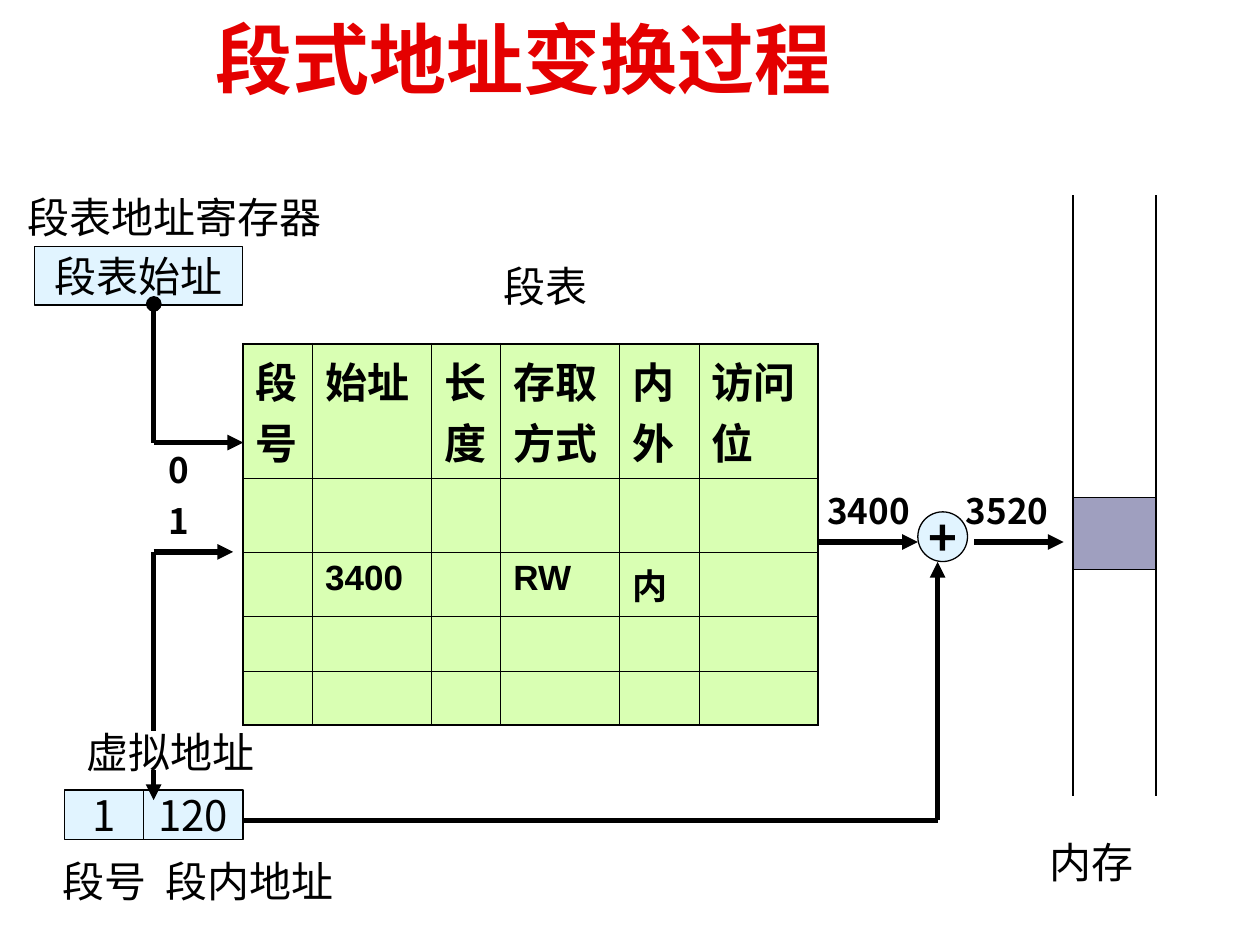
import pptx
import pptx.util
import pptx.dml.color
import pptx.enum.shapes
import pptx.enum.text
import pptx.oxml
import pptx.oxml.ns

Pt = pptx.util.Pt
SHAPE = pptx.enum.shapes.MSO_SHAPE
ALIGN = pptx.enum.text.PP_ALIGN
ANCHOR = pptx.enum.text.MSO_ANCHOR
CJK = "Noto Sans CJK SC"
COLORS = {
    "black": "000000",
    "title": "E40000",
    "register": "E1F4FF",
    "table": "D9FFB3",
    "segment": "9F9FBF",
}
THIN, EDGE = 0.45, 1.08
HEADERS = ["段号", "始址", "长度", "存取方式", "内外", "访问位"]
ENTRY = ["", "3400", "", "RW", "内", ""]


def rgb(name):
    return pptx.dml.color.RGBColor.from_string(COLORS[name])


def add_xml(parent, tag, **attrs):
    el = pptx.oxml.parse_xml(f"<a:{tag} {pptx.oxml.ns.nsdecls('a')}/>")
    for key, value in attrs.items():
        el.set(key, str(value))
    parent.append(el)
    return el


def write(tf, text, size=24, font=CJK, color="black", bold=False,
          align=ALIGN.CENTER, anchor=ANCHOR.TOP, wrap=True, tab=None):
    tf.word_wrap = wrap
    tf.vertical_anchor = anchor
    p = tf.paragraphs[0]
    p.alignment = align
    if tab:
        tabs = add_xml(p._p.get_or_add_pPr(), "tabLst")
        add_xml(tabs, "tab", pos=Pt(tab), algn="l")
    r = p.add_run()
    r.text = text
    r.font.size = Pt(size)
    r.font.name = font
    r.font.bold = bold
    r.font.color.rgb = rgb(color)
    add_xml(r._r.get_or_add_rPr(), "ea", typeface=CJK)


def label(slide, x, y, w, h, text, **fmt):
    box = slide.shapes.add_textbox(Pt(x), Pt(y), Pt(w), Pt(h))
    write(box.text_frame, text, **fmt)
    return box


def number(slide, x, y, w, text):
    label(slide, x, y, w, 31.5, text, size=20, bold=True)


def block(slide, x, y, w, h, text, kind=SHAPE.RECTANGLE, **fmt):
    sp = slide.shapes.add_shape(kind, Pt(x), Pt(y), Pt(w), Pt(h))
    sp.shadow.inherit = False
    sp.fill.solid()
    sp.fill.fore_color.rgb = rgb("register")
    sp.line.color.rgb = rgb("black")
    sp.line.width = Pt(0.75)
    write(sp.text_frame, text, anchor=ANCHOR.MIDDLE, wrap=False, **fmt)


def wire(slide, *points, head=None, tail=None):
    """Join the points with straight lines; head and tail mark the two ends."""
    last = len(points) - 2
    for i, (start, end) in enumerate(zip(points, points[1:])):
        cn = slide.shapes.add_connector(
            pptx.enum.shapes.MSO_CONNECTOR.STRAIGHT,
            *(Pt(v) for v in start + end))
        cn.line.color.rgb = rgb("black")
        cn.line.width = Pt(3)
        ln = cn.line._get_or_add_ln()
        if head and i == 0:
            add_xml(ln, "headEnd", type=head)
        if tail and i == last:
            add_xml(ln, "tailEnd", type=tail)
        add_xml(cn._element.spPr, "effectLst")


def style_cell(cell, fill=None, **borders):
    """Border widths are given as L, R, T and B; zero hides that side."""
    tcPr = cell._tc.get_or_add_tcPr()
    for side in "LRTB":
        width = borders.get(side, 0)
        ln = add_xml(tcPr, f"ln{side}", w=Pt(width))
        if width:
            add_xml(add_xml(ln, "solidFill"), "srgbClr", val=COLORS["black"])
        else:
            add_xml(ln, "noFill")
    if fill:
        cell.fill.solid()
        cell.fill.fore_color.rgb = rgb(fill)
    else:
        cell.fill.background()


def plain_table(slide, x, y, widths, heights):
    table = slide.shapes.add_table(
        len(heights), len(widths), Pt(x), Pt(y),
        Pt(sum(widths)), Pt(sum(heights))).table
    table.first_row = table.horz_banding = False
    for col, width in zip(table.columns, widths):
        col.width = Pt(width)
    for row, height in zip(table.rows, heights):
        row.height = Pt(height)
    return table


def segment_table(slide, x, y):
    label(slide, x + 124.5, y - 51.1, 96.5, 36, "段表")
    widths = [39.6, 68, 39.6, 68, 45.4, 68]
    heights = [77, 42.4, 36.6, 31, 31]
    table = plain_table(slide, x, y, widths, heights)
    last_row, last_col = len(heights) - 1, len(widths) - 1
    texts = {0: (HEADERS, 24), 2: (ENTRY, 20)}
    for i in range(len(heights)):
        words, size = texts.get(i, ([""] * len(widths), 20))
        for j, word in enumerate(words):
            cell = table.cell(i, j)
            style_cell(cell, "table",
                       L=THIN if j else EDGE, T=THIN if i else EDGE,
                       R=EDGE if j == last_col else THIN,
                       B=EDGE if i == last_row else THIN)
            if word:
                write(cell.text_frame, word, size=size, font="Arial",
                      bold=True, align=ALIGN.LEFT)


def table_register(slide, x, y):
    label(slide, x - 19.6, y - 34.8, 198.7, 36, "段表地址寄存器")
    block(slide, x, y, 119, 33.6, "段表始址")
    wire(slide, (x + 68.2, y + 33), (x + 68.2, y + 112.2),
         (x + 119.3, y + 112.2), head="oval", tail="triangle")


def virtual_address(slide, x, y):
    stem = x + 51.1
    block(slide, x, y, 45.4, 28.4, "1")
    block(slide, x + 45.4, y, 56.8, 28.4, "120")
    label(slide, x - 17, y - 39.6, 155.5, 36, "虚拟地址")
    parts = label(slide, x - 22.3, y + 33.8, 198.7, 36, "段号\t段内地址",
                  align=ALIGN.LEFT, tab=58.8)
    parts.text_frame.margin_left = Pt(21.5)
    wire(slide, (stem, y - 33.8), (stem, y - 136), (stem + 45.4, y - 136),
         tail="triangle")
    wire(slide, (stem, y - 11.5), (stem, y + 5.8), tail="triangle")
    for i in range(2):
        number(slide, x + 45.7, y - 198.4 + 28.8 * i, 39.6, str(i))


def adder(slide, x, y, offset_start):
    """Sum the base and the offset, which comes from offset_start."""
    middle = y + 17.2
    wire(slide, (x - 56.4, middle), (x, middle), tail="triangle")
    block(slide, x, y, 28.4, 28.4, "+", kind=SHAPE.OVAL, size=28, bold=True)
    wire(slide, offset_start, (x + 11.3, offset_start[1]), (x + 11.3, y + 28.6),
         tail="triangle")
    wire(slide, (x + 32.2, middle), (x + 83.3, middle), tail="triangle")
    number(slide, x - 62.4, y - 16.6, 68.4, "3400")
    number(slide, x + 16.8, y - 16.6, 68.4, "3520")


def memory(slide, x, y):
    table = plain_table(slide, x, y, [47.5], [172.8, 40.8, 129.6])
    style_cell(table.cell(0, 0), L=EDGE, R=EDGE, B=THIN)
    style_cell(table.cell(1, 0), "segment", L=EDGE, R=EDGE, T=THIN, B=THIN)
    style_cell(table.cell(2, 0), L=EDGE, R=EDGE, T=THIN)
    label(slide, x - 37.7, y + 362.9, 96.5, 36, "内存")


def main():
    prs = pptx.Presentation()
    prs.slide_width, prs.slide_height = Pt(720), Pt(540)
    slide = prs.slides.add_slide(prs.slide_layouts[6])
    label(slide, 116, 6, 556, 54, "段式地址变换过程", size=44, font="Arial",
          color="title", bold=True, align=ALIGN.LEFT, anchor=ANCHOR.MIDDLE)
    segment_table(slide, 139, 196.4)
    table_register(slide, 19.7, 140.7)
    virtual_address(slide, 36.7, 451.4)
    adder(slide, 524.5, 292.5, (139, 468.7))
    memory(slide, 613.2, 111.6)
    prs.save("out.pptx")


if __name__ == "__main__":
    main()
